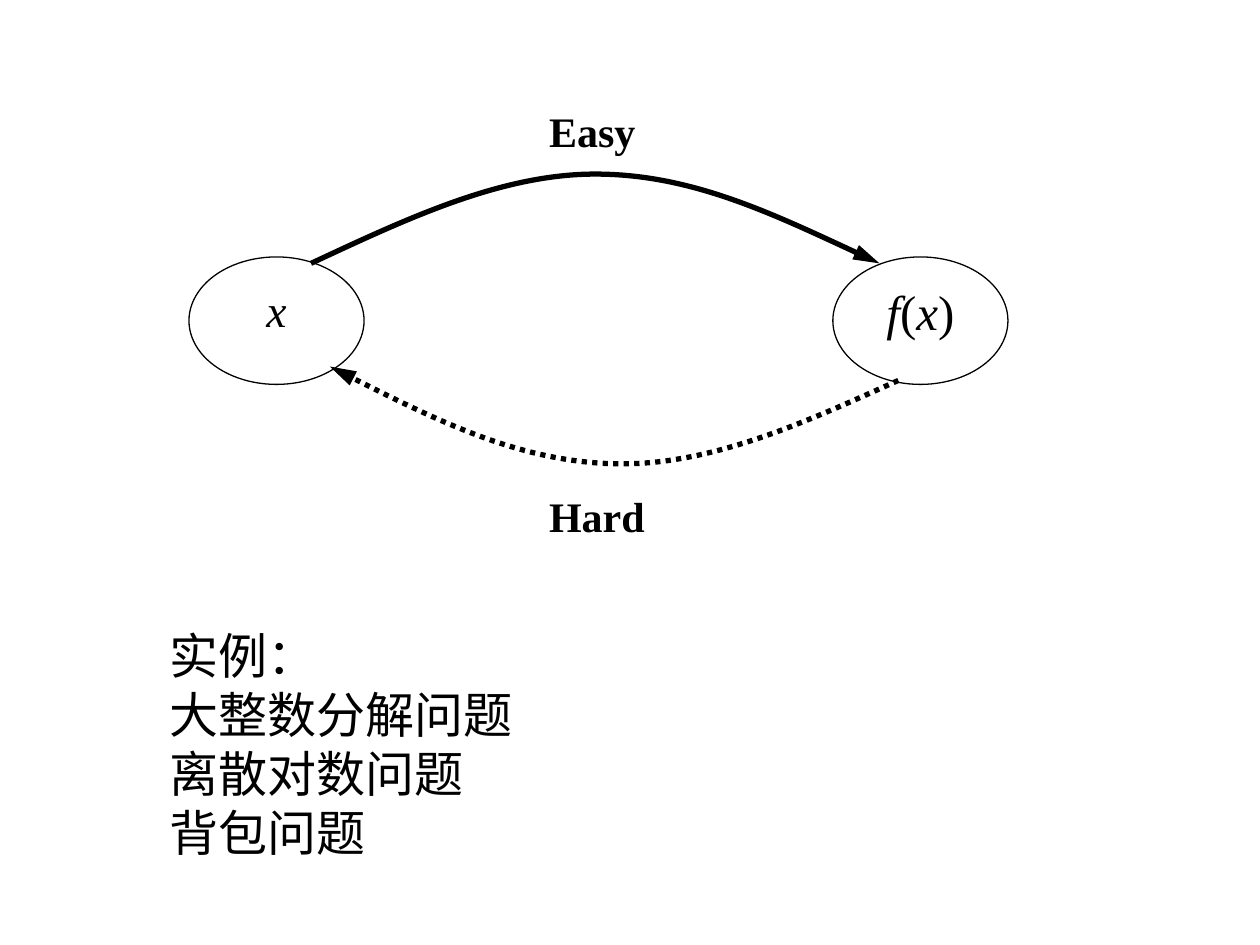
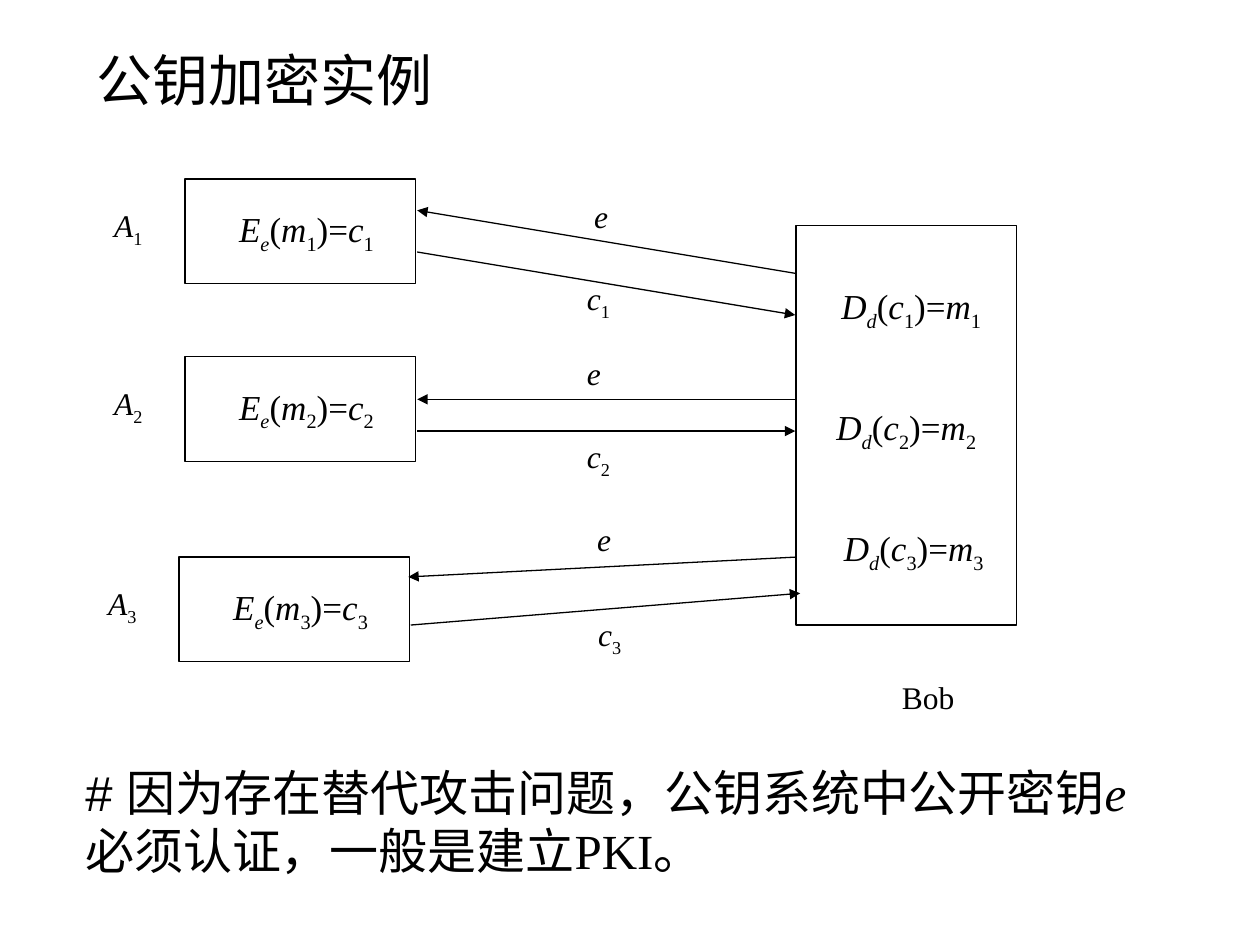
"""Build two slides on one-way functions and public-key encryption."""
from itertools import groupby
from lxml.etree import SubElement as Sub
from pptx import Presentation
from pptx.dml.color import RGBColor as Rgb
from pptx.enum.dml import MSO_LINE as Dash
from pptx.enum.shapes import MSO_CONNECTOR as Link, MSO_SHAPE as Kind
from pptx.enum.text import MSO_ANCHOR as Anchor, PP_ALIGN as Align
from pptx.oxml.ns import qn
from pptx.util import Cm, Pt

HUE = {"ink": "000000", "page": "FFFFFF"}
INK, PAGE = (Rgb.from_string(HUE[name]) for name in ("ink", "page"))
SERIF, SANS = "Times New Roman", "Arial"


def math(text):
    """Split a formula into runs: letters italic, the sign after _ lowered."""
    marks = []
    low = False
    for sign in text:
        if sign != "_":
            marks.append((sign, sign.isalpha(), low))
        low = sign == "_"
    return [("".join(m[0] for m in part), {"italic": key[0], "low": key[1]})
            for key, part in groupby(marks, lambda m: m[1:])]


def put(page, lines, x, y, w, h, kind=None, fill=False, size=18, font=SERIF, bold=False,
        align=Align.LEFT, anchor=Anchor.TOP, pad=True):
    """Place lines of text, each a string or a list of runs, in a box or shape."""
    area = [Cm(n) for n in (x, y, w, h)]
    if kind:
        box = page.shapes.add_shape(kind, *area)
        box.shadow.inherit = False
        box.line.color.rgb = INK
        box.line.width = Pt(0.75)
        if fill:
            box.fill.solid()
            box.fill.fore_color.rgb = PAGE
        else:
            box.fill.background()
    else:
        box = page.shapes.add_textbox(*area)
    frame = box.text_frame
    frame.word_wrap = True
    frame.vertical_anchor = anchor
    if not pad:
        frame.margin_left = frame.margin_right = frame.margin_top = frame.margin_bottom = 0
    for i, line in enumerate(lines):
        para = frame.add_paragraph() if i else frame.paragraphs[0]
        para.alignment = align
        for words, form in [(line, {})] if isinstance(line, str) else line:
            run = para.add_run()
            run.text = words
            face = run.font
            face.name = form.get("font", font)
            face.size = Pt(size)
            face.bold = bold
            face.italic = form.get("italic", False)
            face.color.rgb = INK
            if form.get("low"):
                run._r.get_or_add_rPr().set("baseline", "-25000")


deck = Presentation()
deck.slide_width, deck.slide_height = Cm(25.4), Cm(19.05)
oneway, pubkey = (deck.slides.add_slide(deck.slide_layouts[6]) for _ in range(2))
arrows = []

for text, x, size in (("x", 3.81, 26), ("f(x)", 16.79, 28)):
    put(oneway, [math(text)], x, 5.18, 3.53, 2.57, kind=Kind.OVAL, fill=True, size=size,
        align=Align.CENTER)

easy = 6.27, 1.91, (5.31, 4.42, 3.51, 3.51, 3.51, 4.42, 5.31), Dash.SOLID
hard = 18.11, -1.91, (7.67, 8.53, 9.4, 9.35, 9.3, 8.36, 7.39), Dash.ROUND_DOT
for left, step, tops, dash in (easy, hard):
    dots = [(Cm(left + i * step), Cm(top)) for i, top in enumerate(tops)]
    form = oneway.shapes.build_freeform(*dots[0])
    form.add_line_segments(dots[1:], close=False)
    curve = form.convert_to_shape()
    curve.shadow.inherit = False
    curve.fill.background()
    curve.line.width = Pt(3)
    curve.line.dash_style = dash
    legs = list(curve._element.iter(qn("a:lnTo")))
    for i in range(0, len(legs), 3):
        bend = Sub(legs[i].getparent(), qn("a:cubicBezTo"))
        for leg in legs[i:i + 3]:
            bend.append(leg[0])
            leg.getparent().remove(leg)
    arrows.append((curve, "lg"))

for text, y in (("Hard", 9.89), ("Easy", 2.12)):
    put(oneway, [text], 11.07, y, 3.53, 1.12, size=24, bold=True, align=Align.JUSTIFY,
        pad=False)
put(oneway, ["实例：", "大整数分解问题", "离散对数问题", "背包问题"],
    3.17, 12.49, 15.24, 5, size=28)

put(pubkey, ["公钥加密实例"], 1.7, 0.43, 8.46, 2.34, size=32, font=SANS,
    anchor=Anchor.MIDDLE)

for i, (x, y) in enumerate(((3.73, 3.61), (3.73, 7.19), (3.61, 11.23)), 1):
    put(pubkey, [math(f"E_e(m_{i})=c_{i}")], x + 0.84, y + 0.45, 3.6, 1.22, size=20)
    put(pubkey, [], x, y, 4.65, 2.11, kind=Kind.RECTANGLE)
    put(pubkey, [math(f"A_{i}")], x - 1.68, y + 0.42, 1.5, 1.12)

for i, x in enumerate((16.71, 16.61, 16.76)):
    put(pubkey, [math(f"D_d(c_{i + 1})=m_{i + 1}")], x, 5.61 + i * 2.44, 3.6, 1.22, size=20)
put(pubkey, ["Bob"], 17.93, 13.54, 2.2, 1.02)
put(pubkey, [], 16.05, 4.55, 4.45, 8.05, kind=Kind.RECTANGLE)

for ends in ((16.03, 5.51, 8.41, 4.24), (8.41, 5.08, 16.03, 6.35),
             (16.03, 8.05, 8.41, 8.05), (8.41, 8.69, 16.03, 8.69),
             (16.05, 11.23, 8.23, 11.63), (8.28, 12.6, 16.13, 11.96)):
    link = pubkey.shapes.add_connector(Link.STRAIGHT, *(Cm(n) for n in ends))
    link.line.width = Pt(0.75)
    Sub(link._element.spPr, qn("a:effectLst"))
    arrows.append((link, "med"))

for text, x, y in (("e", 11.73, 3.84), ("c_1", 11.58, 5.51), ("e", 11.58, 7.01),
                   ("c_2", 11.58, 8.69), ("e", 11.79, 10.36), ("c_3", 11.81, 12.27)):
    put(pubkey, [math(text)], x, y, 1.4, 1.12)

put(pubkey, [[("# 因为存在替代攻击问题，公钥系统中公开密钥", {}),
              ("e", {"font": SERIF, "italic": True})],
             [("必须认证，一般是建立", {}), ("PKI", {"font": SERIF}), ("。", {})]],
    1.47, 15.24, 22.6, 2.64, size=28, font=SANS)

for arrow, reach in arrows:
    arrow.line.color.rgb = INK
    tip = Sub(arrow.line._get_or_add_ln(), qn("a:tailEnd"))
    tip.set("type", "triangle")
    tip.set("len", reach)

deck.save("out.pptx")
